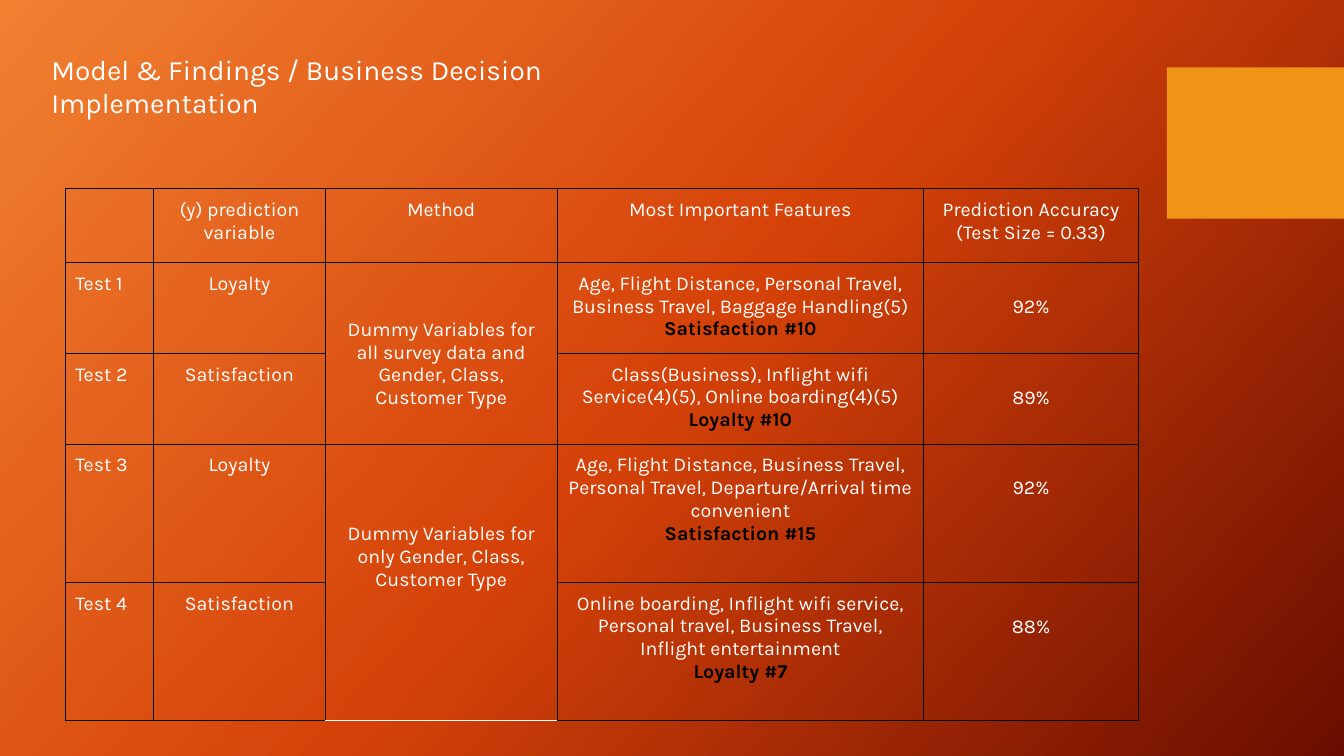
from lxml import etree
from pptx import Presentation
from pptx.dml.color import RGBColor
from pptx.enum.shapes import MSO_SHAPE as Shape
from pptx.enum.text import MSO_ANCHOR as Anchor, PP_ALIGN as Align
from pptx.oxml import parse_xml
from pptx.oxml.ns import qn
from pptx.util import Cm, Pt

COLOURS = {"text": "FFFFFF", "ranking": "000000", "border": "000000",
           "accent": "F09415"}
BACKGROUND_STOPS = {0: "F18031", 50: "D54209", 100: "6A0D00"}  # percent: colour
NAMESPACES = ('xmlns:a="http://schemas.openxmlformats.org/drawingml/2006/main" '
              'xmlns:p="http://schemas.openxmlformats.org/presentationml/2006/main"')
INSET = 0.25
LINE_HEIGHT = 0.58  # one 14 pt line, in cm


class SlideBuilder:
    """Holds the style and the current slide."""

    def __init__(self, presentation, font="Karla"):
        self.font = font
        self.slide = presentation.slides.add_slide(presentation.slide_layouts[5])

    def background(self, stops, angle):
        stop_list = "".join(
            f'<a:gs pos="{percent * 1000}"><a:srgbClr val="{colour}"/></a:gs>'
            for percent, colour in stops.items())
        self.slide.element.cSld.insert(0, parse_xml(
            f'<p:bg {NAMESPACES}><p:bgPr><a:gradFill rotWithShape="1">'
            f'<a:gsLst>{stop_list}</a:gsLst><a:lin ang="{angle * 60000}" scaled="0"/>'
            '</a:gradFill><a:effectLst/></p:bgPr></p:bg>'))

    def style(self, paragraph, size, colour="text", bold=False, align=Align.LEFT):
        paragraph.alignment = align
        font = paragraph.font
        font.name, font.size, font.bold = self.font, Pt(size), bold
        font.color.rgb = RGBColor.from_string(COLOURS[colour])

    def title(self, text, left, top, width, height):
        title = self.slide.shapes.title
        title.left, title.top = Cm(left), Cm(top)
        title.width, title.height = Cm(width), Cm(height)
        frame = title.text_frame
        frame.text, frame.word_wrap = text, True
        frame.vertical_anchor = Anchor.MIDDLE
        self.style(frame.paragraphs[0], 20)

    def rectangle(self, colour, left, top, width, height):
        shape = self.slide.shapes.add_shape(
            Shape.RECTANGLE, Cm(left), Cm(top), Cm(width), Cm(height))
        shape.shadow.inherit = False
        shape.fill.solid()
        shape.fill.fore_color.rgb = RGBColor.from_string(COLOURS[colour])
        shape.line.fill.background()

    def table(self, left, top, widths, heights):
        table = self.slide.shapes.add_table(
            len(heights), len(widths), Cm(left), Cm(top),
            Cm(sum(widths)), Cm(sum(heights))).table
        table.first_row = table.horz_banding = False
        for column, width in zip(table.columns, widths):
            column.width = Cm(width)
        for row, height in zip(table.rows, heights):
            row.height = Cm(height)
        return table

    def cell(self, cell, lines, align=Align.CENTER, lines_down=0):
        """Write (text, is_ranking) lines, starting lines_down lines lower."""
        cell.margin_left = cell.margin_right = cell.margin_bottom = Cm(INSET)
        cell.margin_top = Cm(INSET + lines_down * LINE_HEIGHT)
        cell.text = "\n".join(text for text, _ in lines)
        for paragraph, (_, is_ranking) in zip(cell.text_frame.paragraphs, lines):
            self.style(paragraph, 14, "ranking" if is_ranking else "text",
                       is_ranking, align)

    def borders(self, table, width=0.75):
        for cell in table.iter_cells():
            cell.fill.background()
            # No line inside a merged cell
            edges = "LR" if cell.is_spanned else "LRT"
            edges += "" if cell.is_merge_origin else "B"
            properties = cell._tc.get_or_add_tcPr()
            for position, edge in enumerate(edges):
                line = etree.Element(qn(f"a:ln{edge}"), w=str(Pt(width)))
                fill = etree.SubElement(line, qn("a:solidFill"))
                etree.SubElement(fill, qn("a:srgbClr"), val=COLOURS["border"])
                properties.insert(position, line)


HEADERS = [["(y) prediction variable"], ["Method"], ["Most Important Features"],
           ["Prediction Accuracy", "(Test Size = 0.33)"]]

# Predicted variable, features, ranking, accuracy
TESTS = [
    ("Loyalty",
     "Age, Flight Distance, Personal Travel, Business Travel, Baggage Handling(5)",
     "Satisfaction #10", "92%"),
    ("Satisfaction",
     "Class(Business), Inflight wifi Service(4)(5), Online boarding(4)(5)",
     "Loyalty #10", "89%"),
    ("Loyalty",
     "Age, Flight Distance, Business Travel, Personal Travel, "
     "Departure/Arrival time convenient",
     "Satisfaction #15", "92%"),
    ("Satisfaction",
     "Online boarding, Inflight wifi service, Personal travel, Business Travel, "
     "Inflight entertainment",
     "Loyalty #7", "88%"),
]

# First row, text, lines down
METHODS = [
    (1, "Dummy Variables for all survey data and Gender, Class, Customer Type", 2),
    (3, "Dummy Variables for only Gender, Class, Customer Type", 3),
]


def main():
    presentation = Presentation()
    presentation.slide_width, presentation.slide_height = Cm(33.87), Cm(19.05)
    builder = SlideBuilder(presentation)

    # Background, accent block and title
    builder.background(BACKGROUND_STOPS, 42)
    builder.rectangle("accent", 29.41, 1.7, 4.46, 3.81)
    builder.title("Model & Findings / Business Decision Implementation",
                  1.04, 1.22, 18.1, 1.88)

    # Results table
    table = builder.table(1.65, 4.75, [2.22, 4.33, 5.84, 9.24, 5.41],
                          [1.86, 2.29, 2.29, 3.48, 3.48])
    for column, header in enumerate(HEADERS, start=1):
        builder.cell(table.cell(0, column), [(text, False) for text in header])
    for row, (variable, features, ranking, accuracy) in enumerate(TESTS, start=1):
        builder.cell(table.cell(row, 0), [(f"Test {row}", False)], Align.LEFT)
        builder.cell(table.cell(row, 1), [(variable, False)])
        builder.cell(table.cell(row, 3), [(features, False), (ranking, True)])
        builder.cell(table.cell(row, 4), [(accuracy, False)], lines_down=1)
    for row, method, lines_down in METHODS:
        table.cell(row, 2).merge(table.cell(row + 1, 2))
        builder.cell(table.cell(row, 2), [(method, False)], lines_down=lines_down)
    builder.borders(table)

    presentation.save("out.pptx")


if __name__ == "__main__":
    main()
